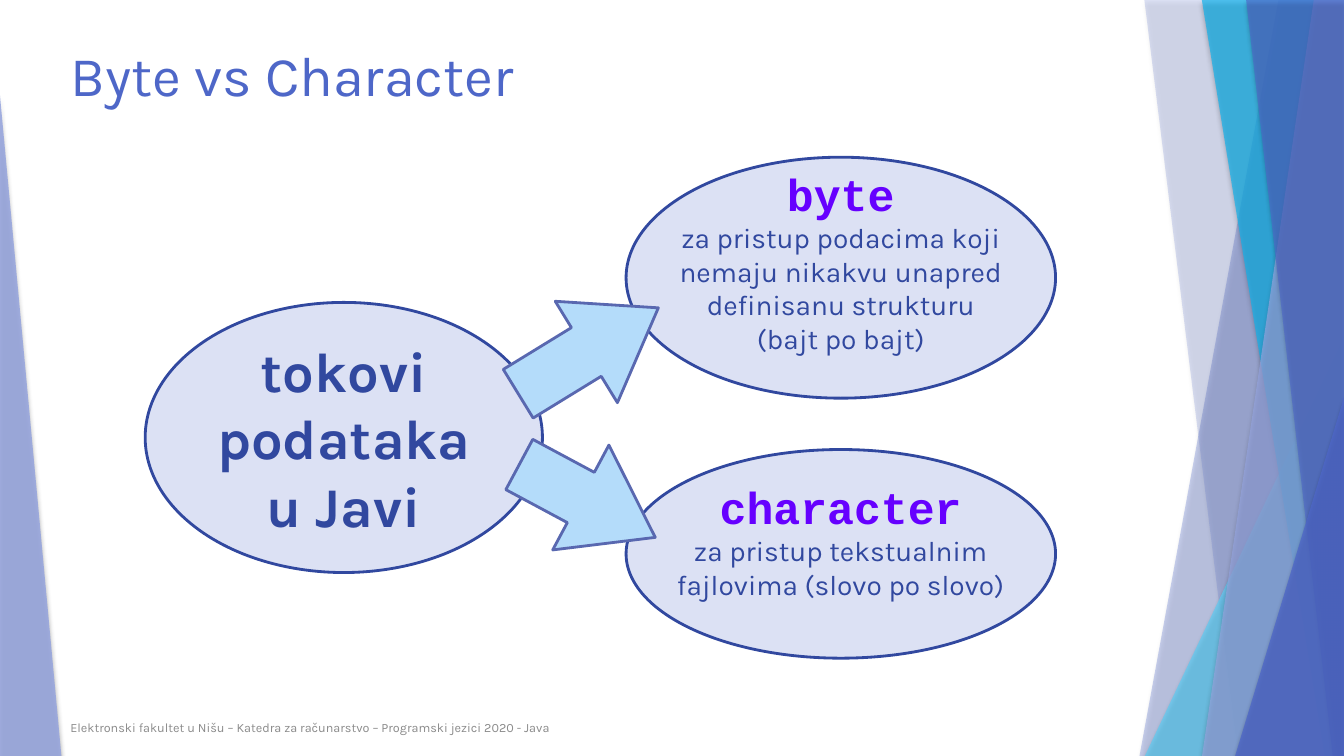
import pptx
import pptx.util
import pptx.dml.color
import pptx.enum.shapes
import pptx.enum.text
import pptx.oxml
import pptx.oxml.ns
import lxml.etree

Inches = pptx.util.Inches
Pt = pptx.util.Pt
RGBColor = pptx.dml.color.RGBColor
SHAPE = pptx.enum.shapes.MSO_SHAPE
ANCHOR = pptx.enum.text.MSO_ANCHOR
ALIGN = pptx.enum.text.PP_ALIGN

BLUE = RGBColor(0x4E, 0x67, 0xC8)
PERIWINKLE = RGBColor(0x95, 0xA4, 0xDE)
CYAN = RGBColor(0x12, 0xB2, 0xEB)
LIGHT_CYAN = RGBColor(0x5E, 0xCC, 0xF3)
GREY = RGBColor(0x8B, 0x8B, 0x8B)
NAVY = RGBColor(0x31, 0x48, 0x9F)
PALE_BLUE = RGBColor(0xDC, 0xE1, 0xF4)
VIOLET = RGBColor(0x66, 0x00, 0xFF)
ARROW_FILL = RGBColor(0xB4, 0xDC, 0xFA)
ARROW_LINE = RGBColor(0x59, 0x68, 0xB0)

SHADOW = (
    '<a:effectLst xmlns:a="http://schemas.openxmlformats.org/drawingml/2006/main">'
    '<a:outerShdw blurRad="38100" dist="25400" dir="5400000" rotWithShape="0">'
    '<a:srgbClr val="000000"><a:alpha val="35000"/></a:srgbClr>'
    '</a:outerShdw></a:effectLst>'
)

presentation = pptx.Presentation()
presentation.slide_width = Inches(13.33)
presentation.slide_height = Inches(7.5)
slide = presentation.slides.add_slide(presentation.slide_layouts[6])


def paint(shape, fill, line=None):
    shape.shadow.inherit = False
    shape.fill.solid()
    shape.fill.fore_color.rgb = fill
    if line is None:
        shape.line.fill.background()
    else:
        shape.line.color.rgb = line
        shape.line.width = Pt(2)


def write(frame, lines, alignment, **frame_format):
    for name, value in frame_format.items():
        setattr(frame, name, value)
    for index, (text, font_format) in enumerate(lines):
        paragraph = frame.paragraphs[0] if index == 0 else frame.add_paragraph()
        paragraph.alignment = alignment
        run = paragraph.add_run()
        run.text = text
        run.font.color.rgb = font_format["color"]
        for name in ("name", "size", "bold"):
            setattr(run.font, name, font_format[name])


# Translucent facets: outline points or (triangle box, apex), colour, opacity in %
RIGHT, BOTTOM = 13.33, 7.51
facets = [
    ([(12.68, 0), (RIGHT, 0), (RIGHT, BOTTOM), (11.3, BOTTOM)], None, BLUE, 30),
    ([(11.35, 0), (RIGHT, 0), (RIGHT, BOTTOM), (12.28, BOTTOM)], None, BLUE, 20),
    ((11.35, 3.34, 1.98, 4.17), 1, LIGHT_CYAN, 72),
    ([(11.92, 0), (RIGHT, 0), (RIGHT, BOTTOM), (13.14, BOTTOM)], None, CYAN, 70),
    ([(13.03, 0), (RIGHT, 0), (RIGHT, BOTTOM), (11.92, BOTTOM)], None, PERIWINKLE, 70),
    ([(12.36, 0), (RIGHT, 0), (RIGHT, BOTTOM), (13.22, BOTTOM)], None, BLUE, 65),
    ((12.25, 3.94, 1.08, 3.56), 1, BLUE, 80),
    ((0, 0.95, 0.61, 6.56), 0, PERIWINKLE, 85),
]
for geometry, apex, color, opacity in facets:
    if apex is None:
        points = [(Inches(x), Inches(y)) for x, y in geometry]
        builder = slide.shapes.build_freeform(*points[0])
        builder.add_line_segments(points[1:], close=True)
        facet = builder.convert_to_shape()
    else:
        facet = slide.shapes.add_shape(SHAPE.ISOSCELES_TRIANGLE, *map(Inches, geometry))
        facet.adjustments[0] = apex
    paint(facet, color)
    properties = facet._element.spPr
    fill_color = properties.find(".//" + pptx.oxml.ns.qn("a:srgbClr"))
    alpha = lxml.etree.SubElement(fill_color, pptx.oxml.ns.qn("a:alpha"))
    alpha.set("val", str(opacity * 1000))
    effects = properties.find(pptx.oxml.ns.qn("a:effectLst"))
    properties.replace(effects, pptx.oxml.parse_xml(SHADOW))

# Title and footer
title_font = {"name": "Karla", "size": Pt(40), "bold": False, "color": BLUE}
footer_font = {"name": "Karla", "size": Pt(9), "bold": False, "color": GREY}
footer_text = "Elektronski fakultet u Nišu – Katedra za računarstvo – Programski jezici 2020 - Java"
for box, text, font_format, anchor in [
    ((0.6, 0.35, 10.98, 0.71), "Byte vs Character", title_font, ANCHOR.TOP),
    ((0.6, 7.02, 7.03, 0.4), footer_text, footer_font, ANCHOR.MIDDLE),
]:
    text_box = slide.shapes.add_textbox(*map(Inches, box))
    write(text_box.text_frame, [(text, font_format)], ALIGN.LEFT,
          word_wrap=True, vertical_anchor=anchor)

# Ellipses: box, bottom inset, lines
topic = {"name": "Karla", "size": Pt(40), "bold": True, "color": NAVY}
keyword = {"name": "Courier New", "size": Pt(32), "bold": True, "color": VIOLET}
detail = {"name": "Karla", "size": Pt(20), "bold": False, "color": NAVY}
ellipses = [
    ((1.44, 3, 3.94, 2.68), 0.05,
     [("tokovi", topic), ("podataka", topic), ("u Javi", topic)]),
    ((6.21, 1.56, 4.26, 2.39), 0.38,
     [("byte", keyword), ("za pristup podacima koji", detail),
      ("nemaju nikakvu unapred", detail), ("definisanu strukturu", detail),
      ("(bajt po bajt)", detail)]),
    ((6.21, 4.46, 4.26, 2.07), 0.32,
     [("character", keyword), ("za pristup tekstualnim", detail),
      ("fajlovima (slovo po slovo)", detail)]),
]
for box, bottom_inset, lines in ellipses:
    ellipse = slide.shapes.add_shape(SHAPE.OVAL, *map(Inches, box))
    paint(ellipse, PALE_BLUE, NAVY)
    write(ellipse.text_frame, lines, ALIGN.CENTER, word_wrap=False,
          vertical_anchor=ANCHOR.MIDDLE, margin_bottom=Inches(bottom_inset))

# Arrows from the topic to its two kinds
for box, rotation in [((5.02, 2.89, 1.63, 1.18), 328.5), ((5.06, 4.38, 1.53, 1.18), 28.2)]:
    arrow = slide.shapes.add_shape(SHAPE.RIGHT_ARROW, *map(Inches, box))
    arrow.rotation = rotation
    arrow.adjustments[0] = 0.48
    arrow.adjustments[1] = 0.71
    paint(arrow, ARROW_FILL, ARROW_LINE)

presentation.save("out.pptx")
